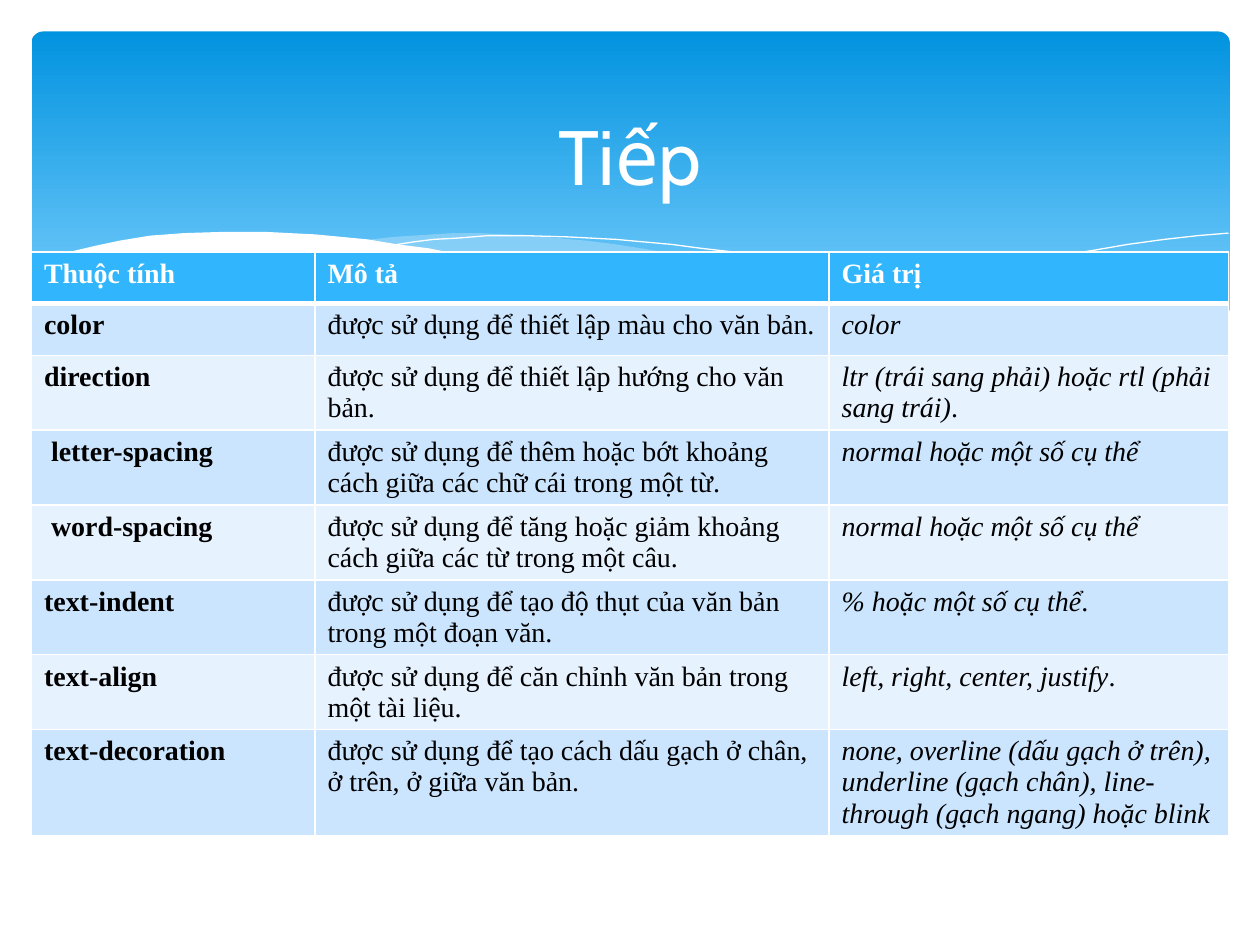
import pptx
import pptx.util
import pptx.dml.color
import pptx.enum.shapes
import pptx.enum.text
import pptx.oxml
from pptx.oxml.ns import nsdecls, qn

Inches, Pt = pptx.util.Inches, pptx.util.Pt
RGBColor = pptx.dml.color.RGBColor

WHITE = RGBColor(0xFF, 0xFF, 0xFF)
BLACK = RGBColor(0x00, 0x00, 0x00)
SKY_TOP = RGBColor(0x02, 0x93, 0xE0)
SKY_BOTTOM = RGBColor(0x81, 0xD2, 0xFE)
WAVE = RGBColor(0xC6, 0xE7, 0xFC)
HEADER = RGBColor(0x31, 0xB6, 0xFD)
BANDS = [RGBColor(0xCC, 0xE5, 0xFE), RGBColor(0xE7, 0xF2, 0xFF)]

TITLE = "Tiếp"
HEADINGS = ["Thuộc tính", "Mô tả", "Giá trị"]
# property, description, value in italics, upright ending of the value
PROPERTIES = [
    ("color", "được sử dụng để thiết lập màu cho văn bản.", "color", ""),
    ("direction ", "được sử dụng để thiết lập hướng cho văn bản.",
     "ltr (trái sang phải) hoặc rtl (phải sang trái)", "."),
    (" letter-spacing",
     "được sử dụng để thêm hoặc bớt khoảng cách giữa các chữ cái trong một từ.",
     "normal hoặc một số cụ thể", ""),
    (" word-spacing",
     "được sử dụng để tăng hoặc giảm khoảng cách giữa các từ trong một câu.",
     "normal hoặc một số cụ thể", ""),
    ("text-indent", "được sử dụng để tạo độ thụt của văn bản trong một đoạn văn.",
     "% hoặc một số cụ thể", "."),
    ("text-align", "được sử dụng để căn chỉnh văn bản trong một tài liệu.",
     "left, right, center, justify", "."),
    ("text-decoration",
     "được sử dụng để tạo cách dấu gạch ở chân, ở trên, ở giữa văn bản.",
     "none, overline (dấu gạch ở trên), underline (gạch chân), "
     "line-through (gạch ngang) hoặc blink", ""),
]
COLUMN_WIDTHS = [2.25, 4.08, 3.17]
ROW_HEIGHT = 0.41

# Wave outlines, in hundredths of an inch
RIGHT_WAVE = [
    (975, 200), (948, 204), (921, 210), (891, 216), (861, 223), (805, 237),
    (753, 248), (706, 257), (661, 265), (691, 269), (719, 272), (745, 275),
    (769, 277), (803, 278), (835, 277), (863, 275), (889, 272), (913, 267),
    (935, 262), (949, 257), (963, 252), (976, 247), (976, 200)]
MIDDLE_WAVE = [
    (893, 273), (866, 269), (837, 265), (807, 260), (775, 254), (741, 247),
    (706, 240), (668, 231), (629, 222), (598, 214), (569, 208), (541, 203),
    (514, 198), (489, 194), (465, 191), (442, 189), (420, 187), (399, 186),
    (380, 185), (361, 185), (344, 186), (313, 188), (286, 191), (323, 196),
    (362, 203), (404, 211), (449, 222), (491, 232), (530, 240), (566, 248),
    (601, 255), (634, 261), (665, 266), (695, 270), (722, 274), (748, 276),
    (773, 277), (796, 278), (828, 278), (857, 277), (876, 275)]
LONG_CREST = [
    (309, 195), (328, 192), (344, 190), (363, 189), (387, 187), (416, 187),
    (450, 188), (489, 190), (533, 194), (556, 197), (582, 200), (608, 204),
    (636, 208), (665, 213), (695, 219), (727, 226), (760, 233), (795, 241),
    (831, 251), (869, 261), (907, 272)]
RIGHT_CREST = [
    (613, 257), (653, 246), (695, 235), (748, 223), (806, 210), (836, 204),
    (866, 199), (895, 194), (924, 190), (951, 187), (975, 185)]
WHITE_WAVE = [
    (977, 246), (959, 253), (940, 259), (920, 265), (899, 269), (875, 273),
    (850, 275), (823, 277), (793, 276), (761, 275), (726, 272), (688, 268),
    (648, 262), (603, 254), (555, 245), (503, 233), (447, 220), (418, 213),
    (391, 207), (365, 202), (340, 197), (316, 194), (292, 190), (271, 188),
    (250, 186), (230, 185), (211, 184), (177, 184), (146, 185), (119, 187),
    (95, 191), (76, 195), (59, 199), (46, 203), (36, 207), (29, 210),
    (23, 213), (23, 329), (977, 329)]


def write(paragraph, text, *, size=16, font="Times New Roman", color=BLACK,
          bold=False, italic=False):
    run = paragraph.add_run()
    run.text = text
    run.font.size = Pt(size)
    run.font.name = font
    run.font.color.rgb = color
    run.font.bold = bold
    run.font.italic = italic


def draw_wave(shapes, points, fill=None, opacity=100):
    """Draw a filled wave, or an open white crest line when fill is None."""
    builder = shapes.build_freeform(*points[0], scale=Inches(0.01))
    builder.add_line_segments(points[1:], close=fill is not None)
    wave = builder.convert_to_shape()
    wave.shadow.inherit = False
    if fill is None:
        wave.fill.background()
        wave.line.color.rgb = WHITE
        wave.line.width = Pt(0.75)
        return
    wave.line.fill.background()
    wave.fill.solid()
    wave.fill.fore_color.rgb = fill
    if opacity < 100:
        color = wave.fill._xPr.find(qn("a:solidFill"))[0]
        color.append(pptx.oxml.parse_xml(
            f'<a:alpha {nsdecls("a")} val="{opacity * 1000}"/>'))


def style_cell(cell, fill, bottom=1):
    """Fill a cell and give it white borders, the bottom one of its own width."""
    cell.fill.solid()
    cell.fill.fore_color.rgb = fill
    widths = {"lnL": 1, "lnR": 1, "lnT": 1, "lnB": bottom}
    for position, (side, width) in enumerate(widths.items()):
        cell._tc.get_or_add_tcPr().insert(position, pptx.oxml.parse_xml(
            f'<a:{side} {nsdecls("a")} w="{Pt(width)}"><a:solidFill>'
            f'<a:srgbClr val="{WHITE}"/></a:solidFill></a:{side}>'))


def add_sky(shapes):
    sky = shapes.add_shape(pptx.enum.shapes.MSO_SHAPE.ROUNDED_RECTANGLE,
                           Inches(0.25), Inches(0.25), Inches(9.51), Inches(2.7))
    sky.adjustments[0] = 0.034
    sky.shadow.inherit = False
    sky.line.fill.background()
    sky.fill.gradient()
    sky.fill.gradient_angle = 270
    for stop, color, place in zip(sky.fill.gradient_stops,
                                  (SKY_TOP, SKY_BOTTOM), (0, 0.9)):
        stop.color.rgb = color
        stop.position = place


def add_property_table(shapes):
    row_count = len(PROPERTIES) + 1
    table = shapes.add_table(
        row_count, len(HEADINGS), Inches(0.25), Inches(2),
        Inches(sum(COLUMN_WIDTHS)), Inches(ROW_HEIGHT * row_count)).table
    for column, width in zip(table.columns, COLUMN_WIDTHS):
        column.width = Inches(width)
    for row in table.rows:
        row.height = Inches(ROW_HEIGHT)

    for cell, heading in zip(table.rows[0].cells, HEADINGS):
        style_cell(cell, HEADER, bottom=3)
        write(cell.text_frame.paragraphs[0], heading, color=WHITE, bold=True)

    for index, (name, description, value, ending) in enumerate(PROPERTIES):
        cells = list(table.rows[index + 1].cells)
        for cell in cells:
            style_cell(cell, BANDS[index % 2])
        name_line, description_line, value_line = (
            cell.text_frame.paragraphs[0] for cell in cells)
        write(name_line, name, bold=True)
        write(description_line, description)
        write(value_line, value, italic=True)
        if ending:
            write(value_line, ending)


def add_title(shapes):
    frame = shapes.add_textbox(Inches(0.5), Inches(0.75),
                               Inches(9), Inches(0.96)).text_frame
    frame.word_wrap = True
    frame.vertical_anchor = pptx.enum.text.MSO_ANCHOR.MIDDLE
    frame.paragraphs[0].alignment = pptx.enum.text.PP_ALIGN.CENTER
    write(frame.paragraphs[0], TITLE, size=44, font="Cabin", color=WHITE)


def main():
    deck = pptx.Presentation()
    deck.slide_width, deck.slide_height = Inches(10), Inches(7.5)
    shapes = deck.slides.add_slide(deck.slide_layouts[6]).shapes
    add_sky(shapes)
    draw_wave(shapes, RIGHT_WAVE, WAVE, opacity=29)
    draw_wave(shapes, MIDDLE_WAVE, WAVE, opacity=40)
    draw_wave(shapes, LONG_CREST)
    draw_wave(shapes, RIGHT_CREST)
    draw_wave(shapes, WHITE_WAVE, WHITE)
    add_property_table(shapes)
    add_title(shapes)
    deck.save("out.pptx")


if __name__ == "__main__":
    main()
